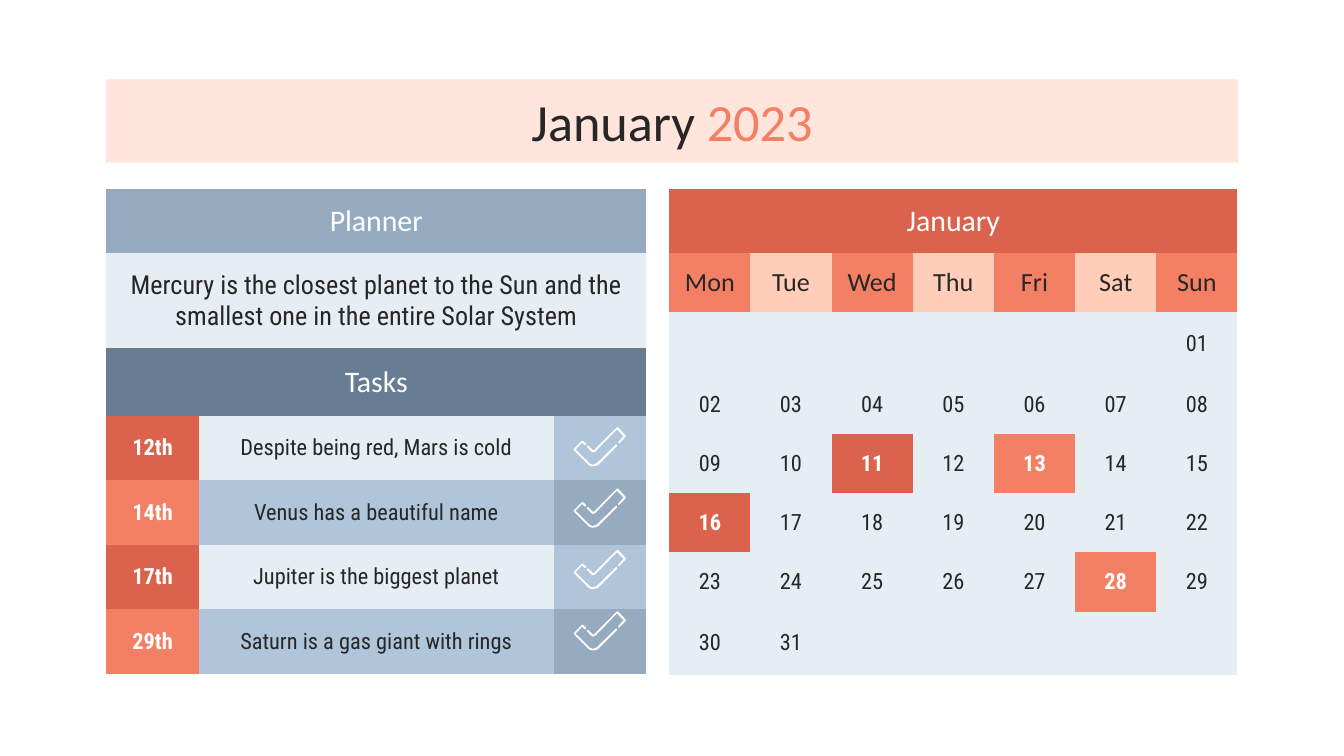
import pptx
import pptx.util
import pptx.dml.color
import pptx.enum.text
import pptx.oxml.ns

Inches = pptx.util.Inches
HEAD, BODY = "Calibri", "Roboto Condensed"
PLAIN = "{2D5ABB26-0587-4C30-8999-92F81FD0307C}"  # no style, no grid
HUE = {
    "ink": "272727", "white": "FFFFFF", "blush": "FFE5DB", "peach": "FFCDB8",
    "coral": "F38065", "red": "DB634D", "pale": "E6EDF3", "sky": "B1C5DA",
    "steel": "96ABC0", "slate": "687D94",
}
DAYS = ["Mon", "Tue", "Wed", "Thu", "Fri", "Sat", "Sun"]
MARKS = {11: "red", 13: "coral", 16: "red", 28: "coral"}
TASKS = [
    ("12th", "Despite being red, Mars is cold"),
    ("14th", "Venus has a beautiful name"),
    ("17th", "Jupiter is the biggest planet"),
    ("29th", "Saturn is a gas giant with rings"),
]
# Check mark outlines, in hundredths of an inch from its top left
LOWER = [
    (6, 10), (0, 16), (0, 17), (11, 28), (12.5, 28.7), (14, 29),
    (16, 28.7), (18, 28), (32, 14), (32, 13), (31.5, 12.5), (31, 13),
    (17, 26.7), (14, 27.8), (12, 27), (1.3, 16.5), (6, 11.3),
    (8, 13.3), (9, 13), (9, 12), (7, 10),
]
UPPER = [
    (32, 0), (15, 17), (14, 17), (11, 14), (10, 13.7), (9.5, 14.5),
    (13, 18), (14, 18.7), (16, 18), (32, 1.5), (37, 6.5),
    (33, 11), (33, 12), (34, 11.7), (38.5, 7), (38.5, 6), (33, 0),
]


def color(name):
    return pptx.dml.color.RGBColor.from_string(HUE[name])


def paint(fill, name):
    fill.solid()
    fill.fore_color.rgb = color(name)


def write(frame, text, size=12, font=BODY, hue="ink", bold=False):
    """Add a centred run to the first paragraph of a text frame."""
    frame.word_wrap = True
    para = frame.paragraphs[0]
    para.alignment = pptx.enum.text.PP_ALIGN.CENTER
    run = para.add_run()
    run.text = text
    run.font.size = pptx.util.Pt(size)
    run.font.name = font
    run.font.bold = bold
    run.font.color.rgb = color(hue)


def pad(box):
    """Give a cell or text frame even margins and middle anchoring."""
    box.margin_left = box.margin_right = Inches(0.1)
    box.margin_top = box.margin_bottom = Inches(0.1)
    box.vertical_anchor = pptx.enum.text.MSO_ANCHOR.MIDDLE


def cell(table, row, col, fill, text="", span=1, **form):
    item = table.cell(row, col)
    if span > 1:
        item.merge(table.cell(row, col + span - 1))
    paint(item.fill, fill)
    if text:
        pad(item)
        write(item.text_frame, text, **form)


def grid(slide, left, top, cols, rows):
    frame = slide.shapes.add_table(
        len(rows), len(cols), Inches(left), Inches(top),
        Inches(sum(cols)), Inches(sum(rows)))
    table = frame.table
    table.first_row = table.horz_banding = False
    style = next(frame.element.iter(pptx.oxml.ns.qn("a:tableStyleId")))
    style.text = PLAIN
    for col, width in zip(table.columns, cols):
        col.width = Inches(width)
    for row, height in zip(table.rows, rows):
        row.height = Inches(height)
    return table


def title(slide):
    shape = slide.shapes.title
    shape.left, shape.top = Inches(0.79), Inches(0.59)
    shape.width, shape.height = Inches(8.42), Inches(0.62)
    paint(shape.fill, "blush")
    pad(shape.text_frame)
    write(shape.text_frame, "January ", size=28, font=HEAD)
    write(shape.text_frame, "2023", size=28, font=HEAD, hue="coral")


def month(slide):
    rows = [0.47, 0.44, 0.47] + [0.44] * 4 + [0.47]
    table = grid(slide, 4.98, 1.41, [4.23 / 7] * 7, rows)
    cell(table, 0, 0, "red", "January", span=7, size=16, font=HEAD, hue="white")
    for col, day in enumerate(DAYS):
        fill = "peach" if col % 2 else "coral"
        cell(table, 1, col, fill, day, size=14, font=HEAD)
    # The first day falls on the last column
    for slot in range(42):
        date = slot - 5
        text = f"{date:02d}" if 1 <= date <= 31 else ""
        mark = date in MARKS
        cell(table, 2 + slot // 7, slot % 7, MARKS.get(date, "pale"), text,
             hue="white" if mark else "ink", bold=mark)


def plan(slide):
    rows = [0.47, 0.71, 0.5] + [0.48] * 4
    table = grid(slide, 0.79, 1.41, [0.69, 2.64, 0.69], rows)
    cell(table, 0, 0, "steel", "Planner", span=3, size=16, font=HEAD, hue="white")
    cell(table, 1, 0, "pale", "Mercury is the closest planet to the Sun and the "
         "smallest one in the entire Solar System", span=3, size=14)
    cell(table, 2, 0, "slate", "Tasks", span=3, size=16, font=HEAD, hue="white")
    for num, (date, task) in enumerate(TASKS):
        fills = ("coral", "sky", "steel") if num % 2 else ("red", "pale", "sky")
        cell(table, 3 + num, 0, fills[0], date, hue="white", bold=True)
        cell(table, 3 + num, 1, fills[1], task)
        cell(table, 3 + num, 2, fills[2])


def check(slide, left, top):
    group = slide.shapes.add_group_shape()
    for line in (LOWER, UPPER):
        dots = [(Inches(left + x / 100), Inches(top + y / 100)) for x, y in line]
        pen = group.shapes.build_freeform(*dots[0])
        pen.add_line_segments(dots[1:], close=True)
        shape = pen.convert_to_shape()
        paint(shape.fill, "white")
        shape.line.fill.background()
        shape.shadow.inherit = False


def main():
    deck = pptx.Presentation()
    # Widescreen, 16 to 9
    deck.slide_width = Inches(10)
    deck.slide_height = Inches(10 * 9 / 16)
    slide = deck.slides.add_slide(deck.slide_layouts[5])
    title(slide)
    month(slide)
    plan(slide)
    for num in range(len(TASKS)):
        check(slide, 4.27, 3.18 + 1.37 / 3 * num)
    deck.save("out.pptx")


if __name__ == "__main__":
    main()
